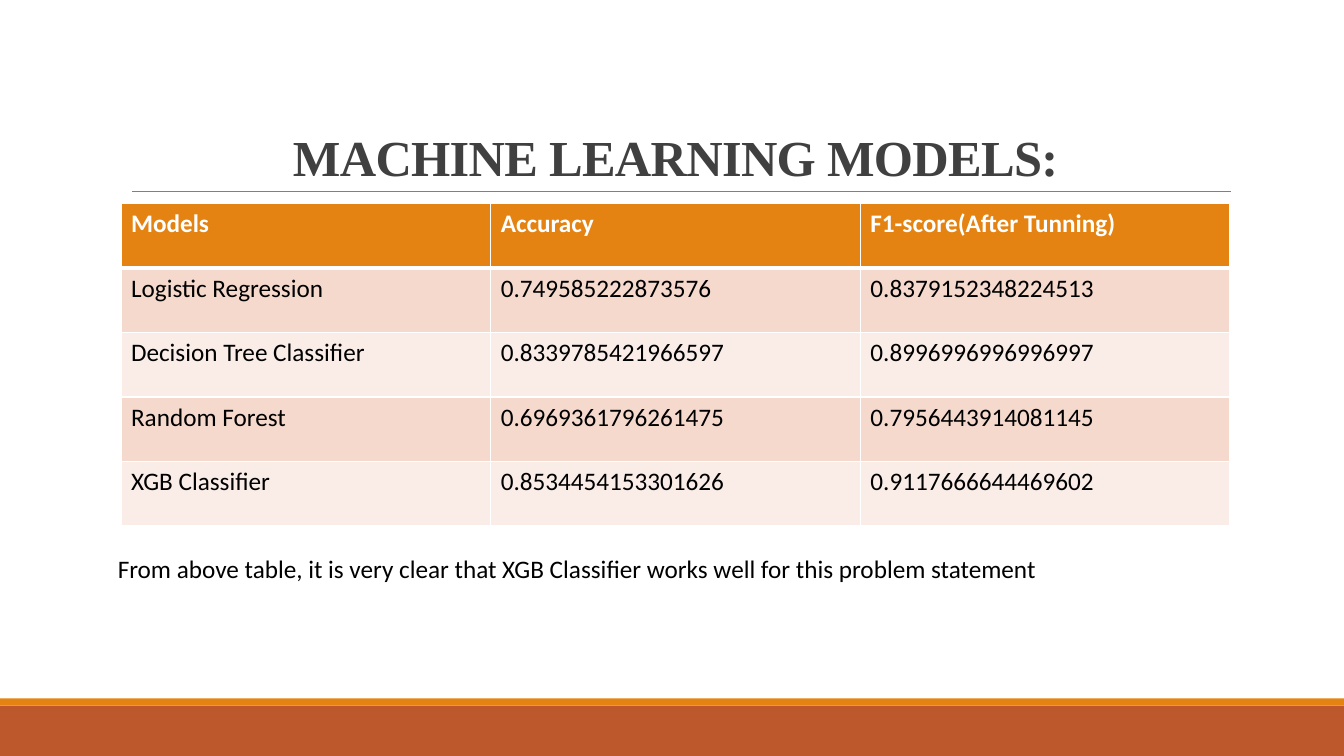
"""Build the slide that compares machine learning models."""
from dataclasses import dataclass

from lxml import etree
from pptx import Presentation
from pptx.dml.color import RGBColor
from pptx.enum import shapes, text
from pptx.oxml import ns
from pptx.util import Inches, Pt

WHITE = RGBColor(0xFF, 0xFF, 0xFF)
BLACK = RGBColor(0, 0, 0)
DARK = RGBColor(0x40, 0x40, 0x40)
GRAY = RGBColor(0x80, 0x80, 0x80)
RUST = RGBColor(0xBD, 0x58, 0x2C)
ORANGE = RGBColor(0xE4, 0x83, 0x12)
PEACH = RGBColor(0xF5, 0xD9, 0xCC)
PALE = RGBColor(0xFA, 0xED, 0xE7)


@dataclass
class Band:
    """A footer strip."""
    top: float
    height: float
    color: RGBColor


@dataclass
class Label:
    """A line of text in its box."""
    words: str
    left: float
    top: float
    height: float
    font: str
    size: int
    color: RGBColor
    title: bool = False


BANDS = [Band(7, 0.5, RUST), Band(6.93, 0.07, ORANGE)]
LABELS = [
    Label("MACHINE LEARNING MODELS:", 1.2, 0.98, 0.92,
          "Times New Roman", 36, DARK, True),
    Label("From above table, it is very clear that XGB Classifier works well "
          "for this problem statement", 1.07, 5.44, 0.4, "Calibri", 18, BLACK),
]
ROWS = [
    ("Models", "Accuracy", "F1-score(After Tunning)"),
    ("Logistic Regression", "0.749585222873576", "0.8379152348224513"),
    ("Decision Tree Classifier", "0.8339785421966597", "0.8996996996996997"),
    ("Random Forest", "0.6969361796261475", "0.7956443914081145"),
    ("XGB Classifier", "0.8534454153301626", "0.9117666644469602"),
]


def add_band(slide, band: Band) -> None:
    """Draw a full-width strip."""
    strip = slide.shapes.add_shape(
        shapes.MSO_SHAPE.RECTANGLE, 0, Inches(band.top),
        Inches(13.33), Inches(band.height))
    strip.shadow.inherit = False
    strip.fill.solid()
    strip.fill.fore_color.rgb = band.color
    strip.line.fill.background()


def add_rule(slide) -> None:
    """Draw the thin line below the title."""
    rule = slide.shapes.add_connector(
        shapes.MSO_CONNECTOR.STRAIGHT, Inches(1.31), Inches(1.9),
        Inches(12.21), Inches(1.9))
    rule.line.color.rgb = GRAY
    rule.line.width = Pt(0.5)
    etree.SubElement(rule._element.spPr, ns.qn("a:effectLst"))


def add_label(slide, label: Label) -> None:
    """Draw a text box."""
    box = slide.shapes.add_textbox(
        Inches(label.left), Inches(label.top), Inches(11), Inches(label.height))
    frame = box.text_frame
    frame.word_wrap = True
    para = frame.paragraphs[0]
    run = para.add_run()
    run.text = label.words
    para.font.name = label.font
    para.font.size = Pt(label.size)
    para.font.bold = label.title
    para.font.color.rgb = label.color
    if label.title:
        frame.vertical_anchor = text.MSO_ANCHOR.BOTTOM
        para.alignment = text.PP_ALIGN.CENTER
        para.line_spacing = 0.85
        run.font._element.set("spc", "-50")


def add_edge(cell, side: str, width: float) -> None:
    """Give one side of a cell a white border."""
    props = cell._tc.get_or_add_tcPr()
    line = etree.SubElement(props, ns.qn(f"a:ln{side}"), w=str(Pt(width)))
    fill = etree.SubElement(line, ns.qn("a:solidFill"))
    etree.SubElement(fill, ns.qn("a:srgbClr"), val=str(WHITE))


def fill_cell(cell, words: str, row: int) -> None:
    """Write and style one cell."""
    head = row == 0
    thick = {"T": row == 1, "B": head}
    for side in "LRTB":
        add_edge(cell, side, 3 if thick.get(side) else 1)
    cell.fill.solid()
    cell.fill.fore_color.rgb = ORANGE if head else PEACH if row % 2 else PALE
    cell.text = words
    font = cell.text_frame.paragraphs[0].font
    font.name = "Calibri"
    font.size = Pt(18)
    font.bold = head
    font.color.rgb = WHITE if head else BLACK


def add_scores(slide) -> None:
    """Draw the table of model scores."""
    table = slide.shapes.add_table(
        len(ROWS), len(ROWS[0]), Inches(1.2), Inches(2.02),
        Inches(11), Inches(3.2)).table
    for row, line in enumerate(ROWS):
        for col, words in enumerate(line):
            fill_cell(table.cell(row, col), words, row)


def main() -> None:
    """Build and save the slide."""
    deck = Presentation()
    deck.slide_width = Inches(13.33)
    deck.slide_height = Inches(7.5)
    slide = deck.slides.add_slide(deck.slide_layouts[6])
    for band in BANDS:
        add_band(slide, band)
    add_rule(slide)
    add_scores(slide)
    for label in LABELS:
        add_label(slide, label)
    deck.save("out.pptx")


if __name__ == "__main__":
    main()
